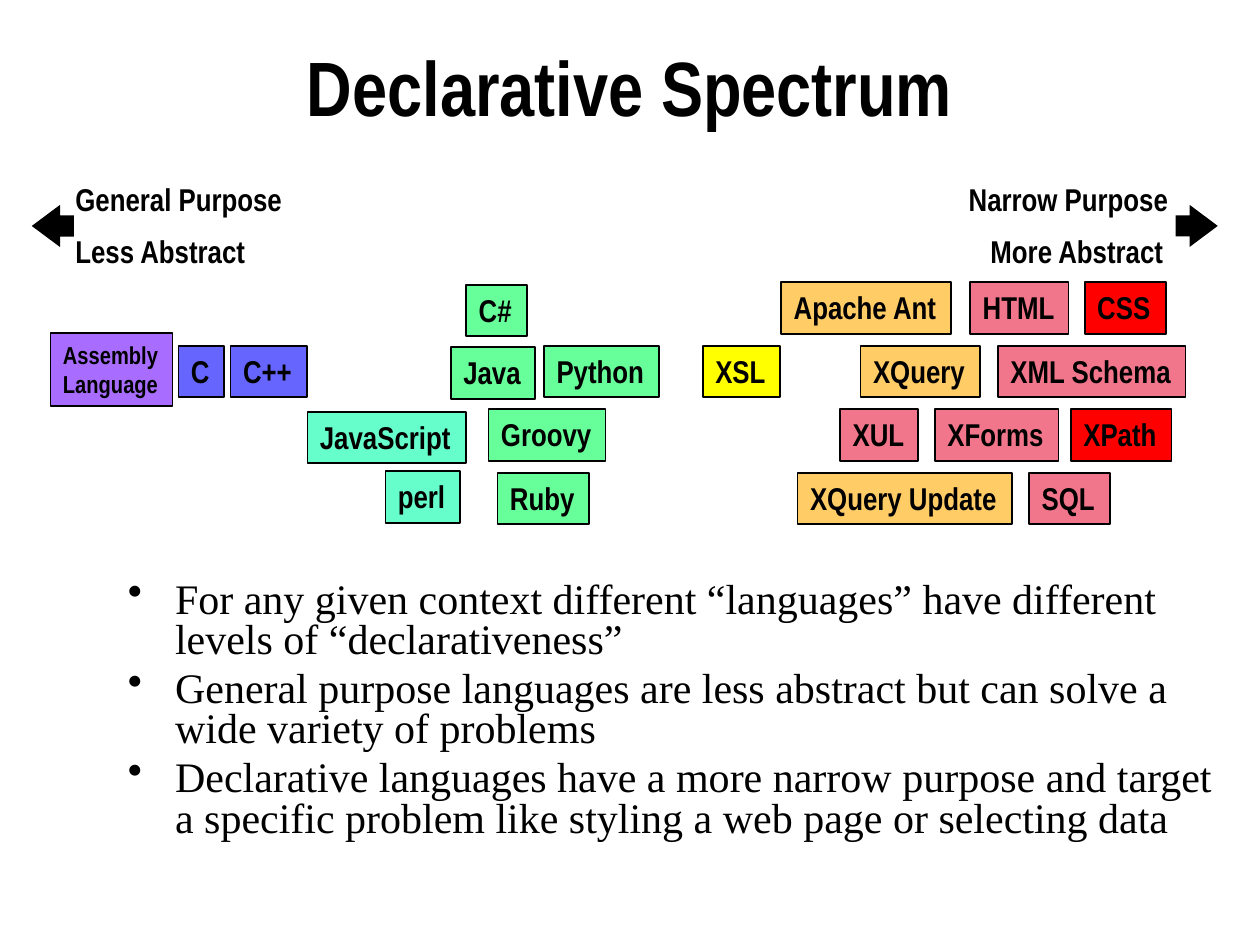
"""Build the Declarative Spectrum slide."""
from dataclasses import dataclass
from typing import NamedTuple

from lxml import etree
from pptx import Presentation
from pptx.dml.color import RGBColor
from pptx.enum import shapes, text
from pptx.oxml.ns import qn
from pptx.util import Cm, Pt


@dataclass(frozen=True)
class Theme:
    heading: str = "Arial Narrow"
    body: str = "Times New Roman"
    title_size: int = 44
    body_size: int = 24
    label_size: int = 18
    small_size: int = 14
    ink: str = "000000"
    assembly: str = "A86DFF"
    system: str = "6666FF"
    script: str = "66FFCC"
    general: str = "66FF99"
    transform: str = "FFFF00"
    process: str = "FFCC66"
    domain: str = "F2768B"
    selector: str = "FF0000"


class Language(NamedTuple):
    name: str
    color: str
    row: int
    left: float
    width: float
    nudge: float = 0
    height: float = 1.04
    size: int = 18


class Label(NamedTuple):
    words: str
    left: float
    top: float
    width: float
    align: text.PP_ALIGN


class Arrow(NamedTuple):
    left: float
    rotation: int


T = Theme()
ROW_TOP, ROW_PITCH = 5.69, 1.28

LANGUAGES = [
    Language("Assembly\vLanguage", T.assembly, 1, 1.02, 2.46, -0.25, 1.47, T.small_size),
    Language("C", T.system, 1, 3.6, 0.92),
    Language("C++", T.system, 1, 4.65, 1.54),
    Language("JavaScript", T.script, 2, 6.2, 3.2, 0.05),
    Language("perl", T.script, 3, 7.77, 1.5, -0.03),
    Language("C#", T.general, 0, 9.4, 1.22, 0.05),
    Language("Java", T.general, 1, 9.09, 1.7, 0.03),
    Language("Python", T.general, 1, 10.97, 2.31),
    Language("Groovy", T.general, 2, 9.85, 2.36),
    Language("Ruby", T.general, 3, 10.03, 1.85),
    Language("XSL", T.transform, 1, 14.17, 1.55),
    Language("Apache Ant", T.process, 0, 15.75, 3.43),
    Language("XQuery", T.process, 1, 17.35, 2.41),
    Language("XQuery Update", T.process, 3, 16.08, 4.32),
    Language("HTML", T.domain, 0, 19.56, 1.98),
    Language("XML Schema", T.domain, 1, 20.12, 3.78),
    Language("XUL", T.domain, 2, 16.94, 1.57),
    Language("XForms", T.domain, 2, 18.85, 2.49),
    Language("SQL", T.domain, 3, 20.75, 1.63),
    Language("CSS", T.selector, 0, 21.87, 1.63),
    Language("XPath", T.selector, 2, 21.59, 2.03),
]
LABELS = [
    Label("General Purpose", 1.27, 3.51, 4.7, text.PP_ALIGN.LEFT),
    Label("Less Abstract", 1.27, 4.55, 3.96, text.PP_ALIGN.LEFT),
    Label("Narrow Purpose", 19.25, 3.51, 4.55, text.PP_ALIGN.RIGHT),
    Label("More Abstract", 19.69, 4.55, 4.01, text.PP_ALIGN.RIGHT),
]
ARROWS = [Arrow(0.64, 180), Arrow(23.7, 0)]
BULLETS = [
    "For any given context different “languages” have different levels of “declarativeness”",
    "General purpose languages are less abstract but can solve a wide variety of problems",
    "Declarative languages have a more narrow purpose and target a specific problem "
    "like styling a web page or selecting data",
]


def place(sp, left: float, top: float, width: float, height: float) -> None:
    """Set a shape's frame in centimetres."""
    sp.left, sp.top, sp.width, sp.height = Cm(left), Cm(top), Cm(width), Cm(height)


def style(p, name: str, size: int, bold: bool) -> None:
    """Set the font of a paragraph."""
    p.font.name, p.font.size, p.font.bold = name, Pt(size), bold
    p.font.color.rgb = RGBColor.from_string(T.ink)


def write_label(sp, words: str, size: int, align: text.PP_ALIGN) -> None:
    """Write one unwrapped bold label in a shape."""
    tf = sp.text_frame
    tf.word_wrap = False
    tf.auto_size = text.MSO_AUTO_SIZE.SHAPE_TO_FIT_TEXT
    tf.vertical_anchor = text.MSO_ANCHOR.TOP
    p = tf.paragraphs[0]
    p.text, p.alignment = words, align
    style(p, T.heading, size, True)


def add_title(s, words: str) -> None:
    """Fill and place the title."""
    sp = s.shapes.title
    place(sp, 1.9, 0.84, 21.6, 1.78)
    sp.text_frame.vertical_anchor = text.MSO_ANCHOR.MIDDLE
    p = sp.text_frame.paragraphs[0]
    p.text, p.alignment = words, text.PP_ALIGN.CENTER
    style(p, T.heading, T.title_size, True)


def add_language(s, lang: Language) -> None:
    """Draw one language box on its row."""
    top = ROW_TOP + lang.row * ROW_PITCH + lang.nudge
    sp = s.shapes.add_shape(shapes.MSO_SHAPE.RECTANGLE, Cm(lang.left), Cm(top),
                            Cm(lang.width), Cm(lang.height))
    sp.shadow.inherit = False
    sp.fill.solid()
    sp.fill.fore_color.rgb = RGBColor.from_string(lang.color)
    sp.line.color.rgb = RGBColor.from_string(T.ink)
    sp.line.width = Pt(1)
    write_label(sp, lang.name, lang.size, text.PP_ALIGN.LEFT)


def add_label(s, label: Label) -> None:
    """Write one end label of the spectrum."""
    sp = s.shapes.add_textbox(Cm(label.left), Cm(label.top), Cm(label.width), Cm(1.02))
    write_label(sp, label.words, T.label_size, label.align)


def add_arrow(s, arrow: Arrow) -> None:
    """Draw one end arrow of the spectrum."""
    sp = s.shapes.add_shape(shapes.MSO_SHAPE.RIGHT_ARROW, Cm(arrow.left), Cm(4.13),
                            Cm(0.85), Cm(0.85))
    sp.adjustments[1] = 0.67
    sp.rotation = arrow.rotation
    sp.shadow.inherit = False
    sp.fill.solid()
    sp.fill.fore_color.rgb = RGBColor.from_string(T.ink)
    sp.line.fill.background()


def add_bullets(s, items: list[str]) -> None:
    """Write the bulleted explanation."""
    sp = s.shapes.add_textbox(Cm(2.33), Cm(11.43), Cm(22.43), Cm(6.99))
    tf = sp.text_frame
    tf.word_wrap = True
    tf.margin_top = Cm(0.3)
    for i, item in enumerate(items):
        p = tf.paragraphs[0] if i == 0 else tf.add_paragraph()
        p.text, p.line_spacing = item, 0.8
        if i:
            p.space_before = Pt(5)
        props = p._p.get_or_add_pPr()
        props.set("marL", str(Cm(0.95)))
        props.set("indent", str(Cm(-0.95)))
        etree.SubElement(props, qn("a:buChar")).set("char", "•")
        style(p, T.body, T.body_size, False)


def main() -> None:
    """Build and save the presentation."""
    prs = Presentation()
    prs.slide_width, prs.slide_height = Cm(25.4), Cm(19.05)
    s = prs.slides.add_slide(prs.slide_layouts[5])
    add_title(s, "Declarative Spectrum")
    add_bullets(s, BULLETS)
    for arrow in ARROWS:
        add_arrow(s, arrow)
    for label in LABELS:
        add_label(s, label)
    for lang in LANGUAGES:
        add_language(s, lang)
    prs.save("out.pptx")


if __name__ == "__main__":
    main()
